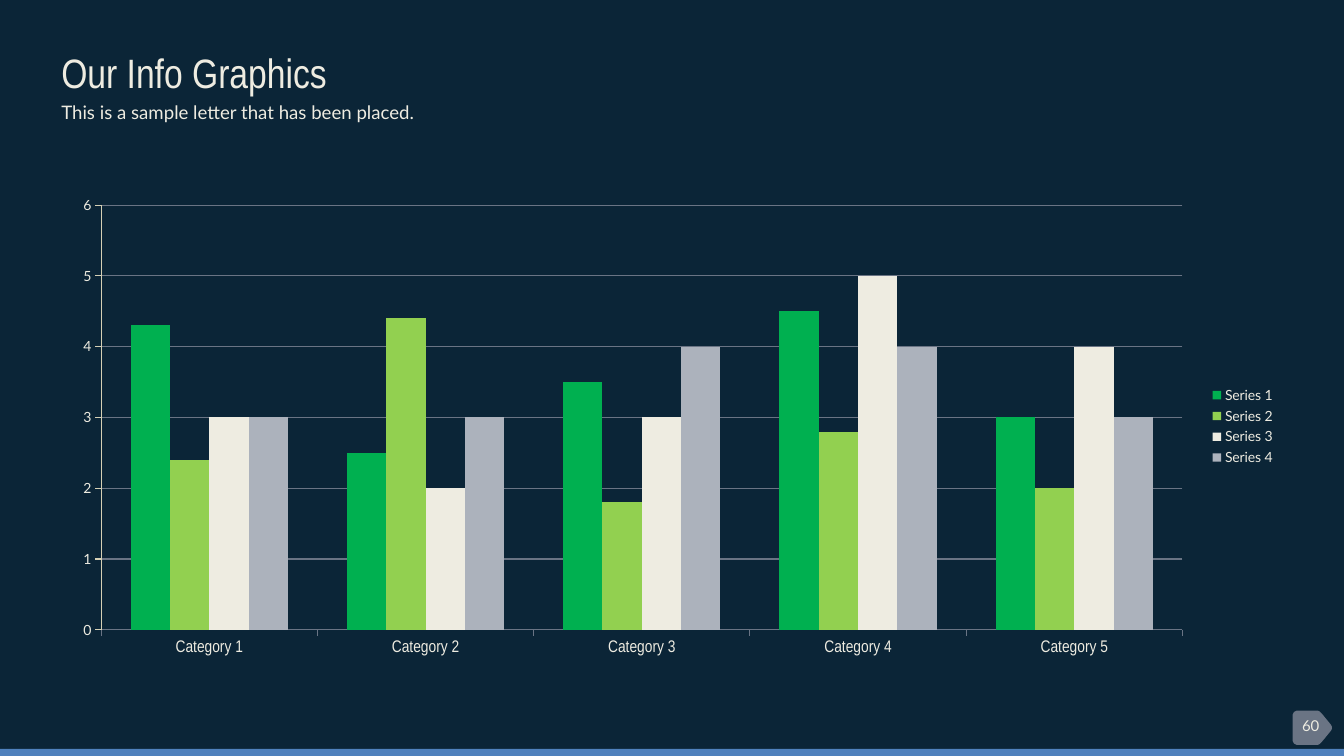
from pptx import Presentation
from pptx.chart.data import CategoryChartData
from pptx.dml.color import RGBColor
from pptx.enum.chart import XL_CHART_TYPE as ChartType
from pptx.enum.chart import XL_LEGEND_POSITION as LegendPosition
from pptx.enum.chart import XL_TICK_MARK as TickMark
from pptx.enum.shapes import MSO_SHAPE as Shape
from pptx.enum.text import MSO_AUTO_SIZE as AutoSize
from pptx.enum.text import PP_ALIGN as Align
from pptx.oxml import parse_xml
from pptx.oxml.ns import nsdecls, qn
from pptx.util import Inches, Pt

BACKGROUND, CREAM, SLATE = "0B2537", "EEECE1", "6A7484"
BLUE, SAND = "4F81BD", "D5D0B5"
HEADING_FONT, BODY_FONT = "Arial Narrow", "Lato"

CATEGORIES = [f"Category {number}" for number in range(1, 6)]
SERIES = [
    ("Series 1", (4.3, 2.5, 3.5, 4.5, 3), "00B050"),
    ("Series 2", (2.4, 4.4, 1.8, 2.8, 2), "92D050"),
    ("Series 3", (3, 2, 3, 5, 4), CREAM),
    ("Series 4", (3, 3, 4, 4, 3), "ACB2BC"),
]

# Upper half of the page badge, left to right; the lower half mirrors it
BADGE_MIDDLE = 7.22
BADGE_TOP = [
    (12.82, 7.09), (12.83, 7.07), (12.84, 7.06), (12.86, 7.05), (12.88, 7.05),
    (13.03, 7.05), (13.07, 7.05), (13.09, 7.06), (13.11, 7.08),
    (13.2, 7.19), (13.21, 7.21),
]


def color(value):
    return RGBColor.from_string(value)


class SlideBuilder:
    def __init__(self, slide):
        self.slide = slide
        fill = slide.background.fill
        fill.solid()
        fill.fore_color.rgb = color(BACKGROUND)

    def style_font(self, font, size, name=BODY_FONT):
        font.size, font.name = Pt(size), name
        font.color.rgb = color(CREAM)

    def paint(self, shape, fill):
        shape.shadow.inherit = False
        shape.fill.solid()
        shape.fill.fore_color.rgb = color(fill)
        shape.line.fill.background()

    def bar(self, left, top, width, height, fill):
        shape = self.slide.shapes.add_shape(
            Shape.RECTANGLE, *map(Inches, (left, top, width, height)))
        self.paint(shape, fill)

    def outline(self, points, fill):
        points = [(Inches(x), Inches(y)) for x, y in points]
        builder = self.slide.shapes.build_freeform(*points[0])
        builder.add_line_segments(points[1:], close=True)
        self.paint(builder.convert_to_shape(), fill)

    def text(self, text, left, top, width, height, size,
             name=BODY_FONT, align=Align.LEFT):
        box = self.slide.shapes.add_textbox(
            *map(Inches, (left, top, width, height)))
        frame = box.text_frame
        frame.word_wrap = True
        frame.auto_size = AutoSize.SHAPE_TO_FIT_TEXT
        paragraph = frame.paragraphs[0]
        paragraph.text, paragraph.alignment = text, align
        self.style_font(paragraph.font, size, name)

    def style_axis(self, axis, size, name, line):
        axis.major_tick_mark = TickMark.OUTSIDE
        axis.minor_tick_mark = TickMark.NONE
        self.style_font(axis.tick_labels.font, size, name)
        self.style_line(axis.format.line, line)

    def style_line(self, line, value):
        line.color.rgb = color(value)
        line.width = Pt(0.75)

    def place_plot(self, chart, **fractions):
        plot_area = chart._chartSpace.chart.plotArea
        for layout in plot_area.findall(qn("c:layout")):
            plot_area.remove(layout)
        places = "".join(f'<c:{key} val="{value}"/>'
                         for key, value in fractions.items())
        plot_area.insert(0, parse_xml(
            f'<c:layout {nsdecls("c")}><c:manualLayout>'
            '<c:layoutTarget val="inner"/><c:xMode val="edge"/>'
            f'<c:yMode val="edge"/>{places}</c:manualLayout></c:layout>'))

    def column_chart(self, left, top, width, height, categories, series):
        data = CategoryChartData()
        data.categories = categories
        for name, values, _ in series:
            data.add_series(name, values)
        chart = self.slide.shapes.add_chart(
            ChartType.COLUMN_CLUSTERED,
            *map(Inches, (left, top, width, height)), data).chart
        chart.has_title = False
        self.style_font(chart.font, 18, "Roboto Condensed")

        # Columns
        plot = chart.plots[0]
        plot.gap_width, plot.overlap = 150, 0
        plot.vary_by_categories = False
        for columns, (_, _, fill) in zip(plot.series, series):
            columns.format.fill.solid()
            columns.format.fill.fore_color.rgb = color(fill)

        # Axes and gridlines
        self.style_axis(chart.category_axis, 12, HEADING_FONT, SLATE)
        value_axis = chart.value_axis
        self.style_axis(value_axis, 10, BODY_FONT, SAND)
        value_axis.minimum_scale, value_axis.maximum_scale = 0, 6
        value_axis.major_unit = 1
        value_axis.has_major_gridlines = True
        self.style_line(value_axis.major_gridlines.format.line, SLATE)

        # Legend
        chart.has_legend = True
        chart.legend.position = LegendPosition.RIGHT
        chart.legend.include_in_layout = False
        self.style_font(chart.legend.font, 10)
        self.place_plot(chart, x=0.034, y=0.037, w=0.882, h=0.889)


def main():
    presentation = Presentation()
    presentation.slide_width = Inches(13.33)
    presentation.slide_height = Inches(7.5)
    builder = SlideBuilder(
        presentation.slides.add_slide(presentation.slide_layouts[6]))

    # Footer bar and page badge
    builder.bar(0, 7.43, 13.33, 0.07, BLUE)
    badge_bottom = [(x, 2 * BADGE_MIDDLE - y) for x, y in reversed(BADGE_TOP)]
    builder.outline(BADGE_TOP + badge_bottom, SLATE)
    builder.text("60", 12.78, 7.06, 0.44, 0.28, 10.7, align=Align.CENTER)

    # Heading
    builder.text("Our Info Graphics", 0.51, 0.42, 5.16, 0.59, 29.3,
                 HEADING_FONT)
    builder.text("This is a sample letter that has been placed.",
                 0.51, 0.95, 5.16, 0.33, 13.3)

    # Chart
    builder.column_chart(0.59, 1.86, 12.16, 4.74, CATEGORIES, SERIES)

    presentation.save("out.pptx")


if __name__ == "__main__":
    main()
